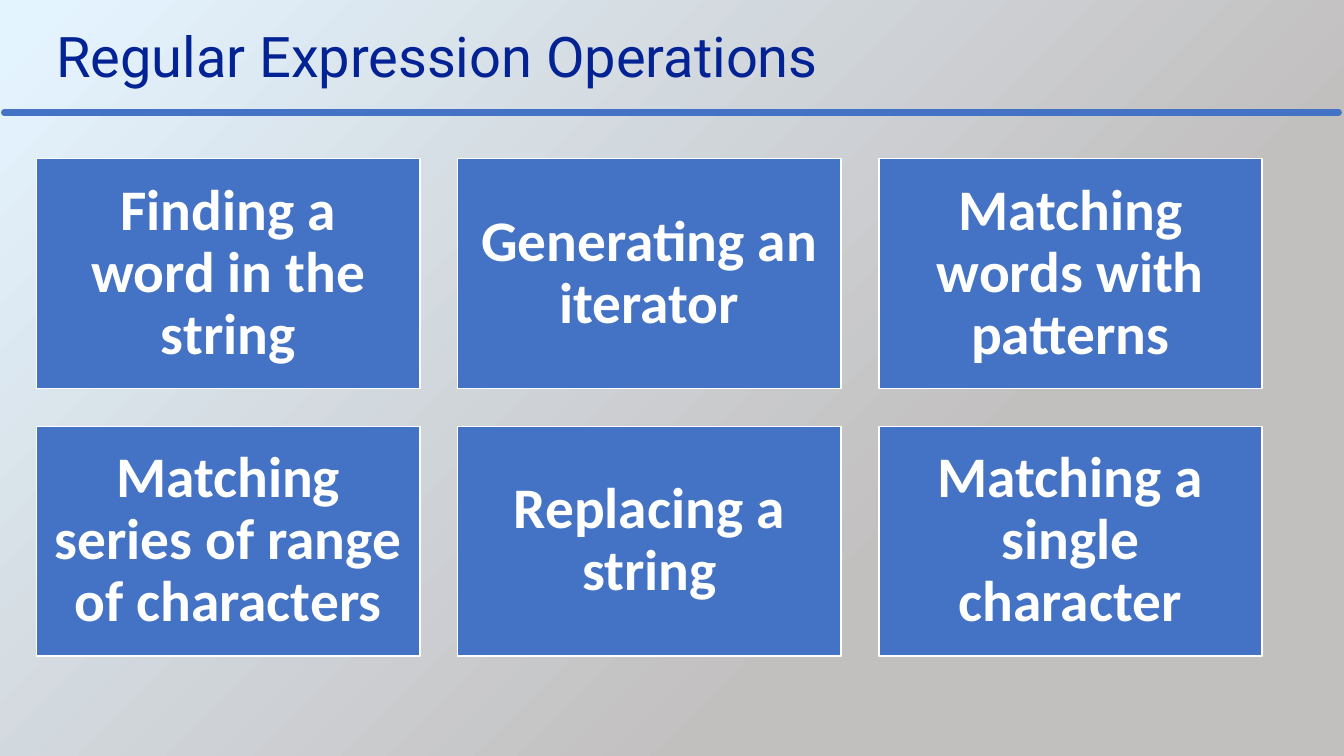
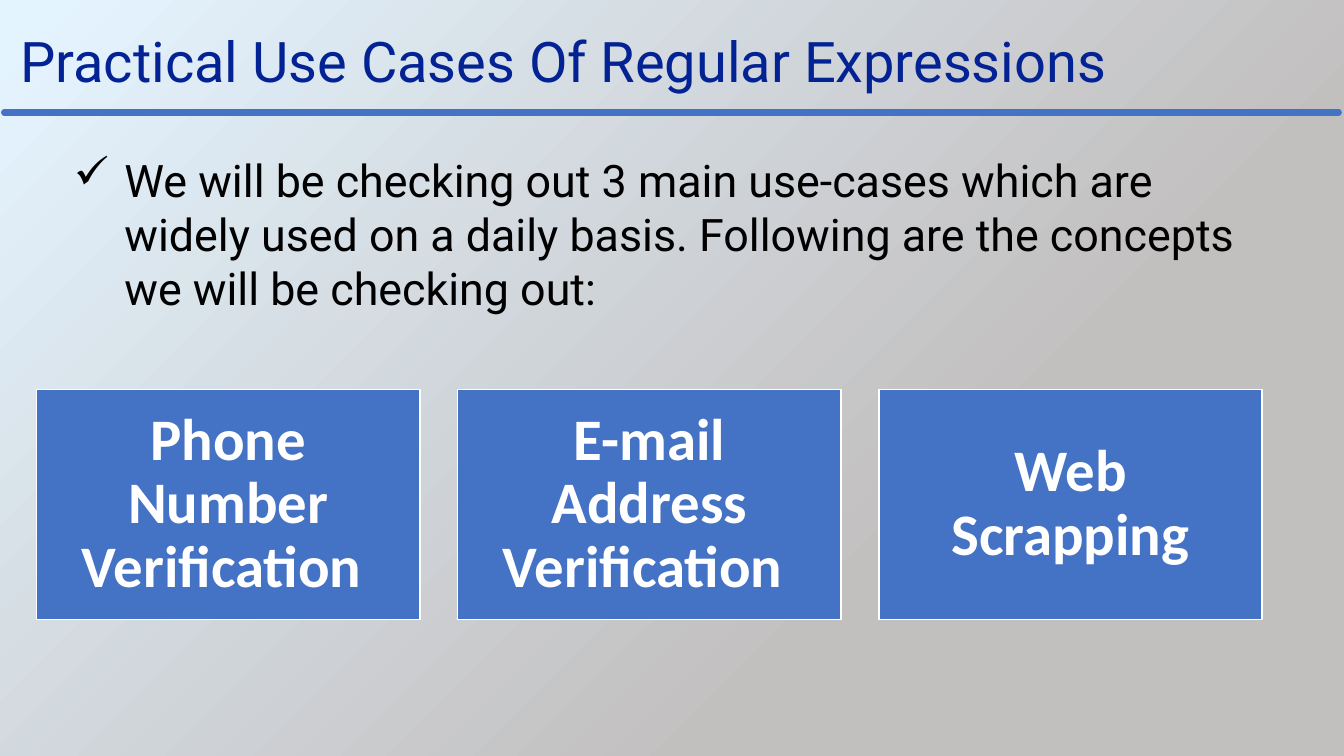
from lxml.etree import SubElement
from pptx import Presentation
from pptx.dml.color import RGBColor
from pptx.enum.shapes import MSO_CONNECTOR as Connector, MSO_SHAPE as Shape
from pptx.enum.text import MSO_ANCHOR as Anchor, MSO_AUTO_SIZE as AutoSize, PP_ALIGN as Align
from pptx.oxml.ns import qn
from pptx.util import Pt

PX = 9525
NAVY = RGBColor(0x03, 0x22, 0x93)
BLUE = RGBColor(0x44, 0x72, 0xC4)
WHITE = RGBColor(0xFF, 0xFF, 0xFF)
BLACK = RGBColor(0x00, 0x00, 0x00)
ICE = RGBColor(0xE4, 0xF4, 0xFF)
GREY = RGBColor(0xC2, 0xBF, 0xBF)

GROWING = {"word_wrap": True, "auto_size": AutoSize.SHAPE_TO_FIT_TEXT}
CARD_FRAME = {"word_wrap": True, "vertical_anchor": Anchor.MIDDLE}
CARD_FRAME |= {f"margin_{side}": 16 * PX for side in ("left", "top", "right", "bottom")}
CARD_PARAGRAPH = {"alignment": Align.CENTER, "line_spacing": 0.9}
TITLE_FONT = {"name": "Roboto", "size": Pt(40)}
BODY_FONT = {"name": "Roboto", "size": Pt(32)}
CARD_FONT = {"name": "Calibri", "bold": True}

CARD_LEFT, CARD_WIDTH, CARD_HEIGHT, CARD_GAP = 35, 365, 219, 36
COLUMNS = 3

SLIDES = [
    {
        "title": "Regular Expression Operations",
        "title_box": (44, 16, 1034, 74),
        "cards_top": 151,
        "card_size": 41,
        "cards": [
            "Finding a word in the string",
            "Generating an iterator",
            "Matching words with patterns",
            "Matching series of range of characters",
            "Replacing a string",
            "Matching a single character",
        ],
    },
    {
        "title": "Practical Use Cases Of Regular Expressions",
        "title_box": (10, 21, 1192, 74),
        "cards_top": 371,
        "card_size": 42,
        "cards": [
            "Phone Number Verification ",
            "E-mail Address Verification ",
            "Web Scrapping",
        ],
        "intro": "We will be checking out 3 main use-cases which are widely used on a "
                 "daily basis. Following are the concepts we will be checking out:",
    },
]


def px(*lengths):
    return [length * PX for length in lengths]


def write(shape, text, color, font_format, frame_format, paragraph_format={}, bullet=None):
    frame = shape.text_frame
    paragraph = frame.paragraphs[0]
    paragraph.text = text
    if bullet:
        properties = paragraph._p.get_or_add_pPr()
        properties.set("marL", str(48 * PX))
        properties.set("indent", str(-48 * PX))
        SubElement(properties, qn("a:buChar")).set("char", bullet)
    font = paragraph.runs[0].font
    for target, values in ((frame, frame_format), (paragraph, paragraph_format), (font, font_format)):
        for name, value in values.items():
            setattr(target, name, value)
    font.color.rgb = color


deck = Presentation()
deck.slide_width, deck.slide_height = px(1280, 720)

backdrop = deck.slide_master.background.fill
backdrop.gradient()
backdrop.gradient_angle = 315
for stop, position, color in zip(backdrop.gradient_stops, (0.02, 0.69), (ICE, GREY)):
    stop.position = position
    stop.color.rgb = color

for content in SLIDES:
    slide = deck.slides.add_slide(deck.slide_layouts[6])
    title = slide.shapes.add_textbox(*px(*content["title_box"]))
    write(title, content["title"], NAVY, TITLE_FONT, GROWING)

    rule = slide.shapes.add_connector(Connector.STRAIGHT, *px(4, 107, 1275, 107))
    rule.line.color.rgb = BLUE
    rule.line.width = Pt(4.5)
    rule.line._get_or_add_ln().set("cap", "rnd")
    SubElement(rule._element.spPr, qn("a:effectLst"))

    for index, label in enumerate(content["cards"]):
        row, column = divmod(index, COLUMNS)
        left = CARD_LEFT + column * (CARD_WIDTH + CARD_GAP)
        top = content["cards_top"] + row * (CARD_HEIGHT + CARD_GAP)
        card = slide.shapes.add_shape(Shape.RECTANGLE, *px(left, top, CARD_WIDTH, CARD_HEIGHT))
        card.shadow.inherit = False
        card.fill.solid()
        card.fill.fore_color.rgb = BLUE
        card.line.color.rgb = WHITE
        card.line.width = Pt(1)
        card_font = CARD_FONT | {"size": Pt(content["card_size"])}
        write(card, label, WHITE, card_font, CARD_FRAME, CARD_PARAGRAPH)

    if "intro" in content:
        intro = slide.shapes.add_textbox(*px(61, 141, 1155, 165))
        write(intro, content["intro"], BLACK, BODY_FONT, GROWING, bullet="✓")

deck.save("out.pptx")
